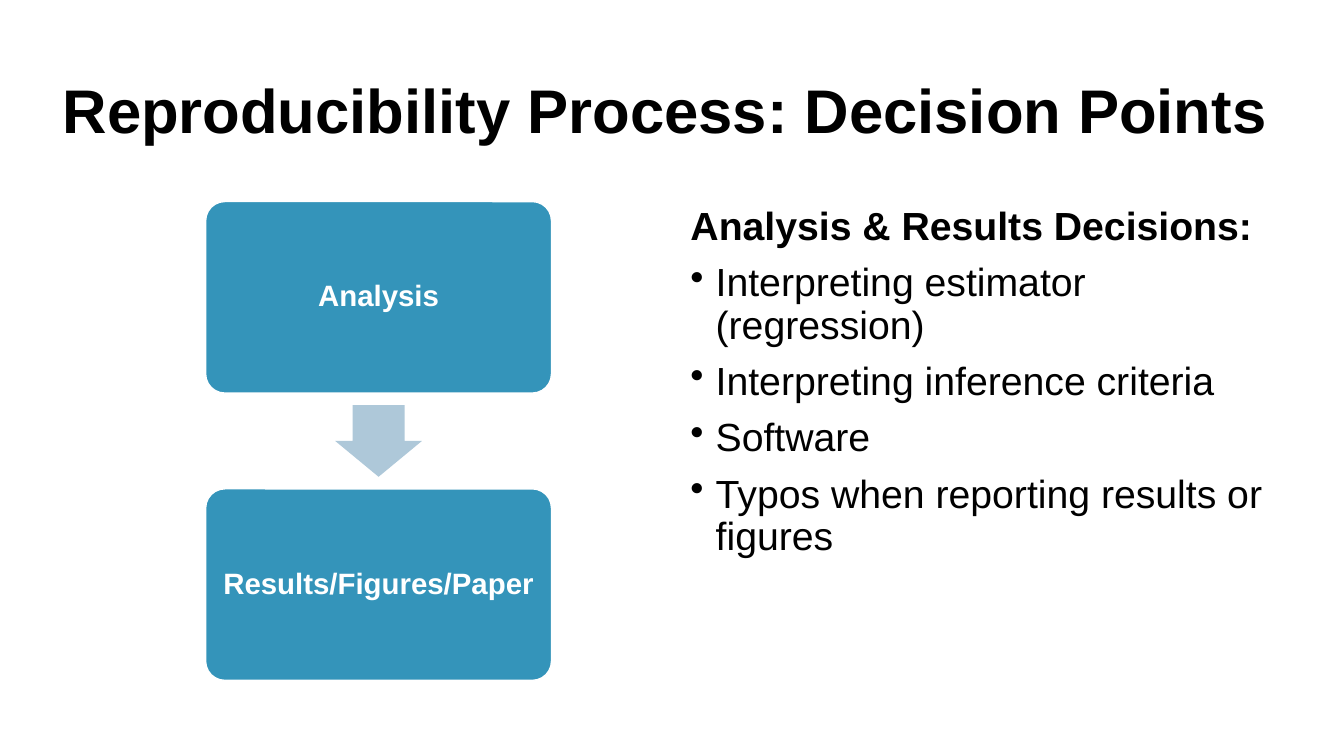
from dataclasses import dataclass

from pptx import Presentation
from pptx.dml.color import RGBColor
from pptx.enum import shapes, text
from pptx.oxml.ns import qn
from pptx.util import Inches, Pt


@dataclass(frozen=True)
class Theme:
    font: str = "Arial"
    ink: RGBColor = RGBColor(0x00, 0x00, 0x00)
    white: RGBColor = RGBColor(0xFF, 0xFF, 0xFF)
    step: RGBColor = RGBColor(0x34, 0x94, 0xBA)
    arrow: RGBColor = RGBColor(0xAE, 0xC8, 0xD9)
    title_size: int = 44
    body_size: int = 28
    step_size: int = 21
    line_spacing: float = 0.9


THEME = Theme()


def format_paragraph(p, size, color, bold=False, align=text.PP_ALIGN.LEFT):
    p.alignment = align
    p.line_spacing = THEME.line_spacing
    for r in p.runs:
        r.font.name = THEME.font
        r.font.size = Pt(size)
        r.font.bold = bold
        r.font.color.rgb = color


def add_bullet(p, indent):
    pPr = p._p.get_or_add_pPr()
    pPr.set("marL", str(indent))
    pPr.set("indent", str(-indent))
    bullet = pPr.makeelement(qn("a:buChar"), {"char": "•"})
    pPr.append(bullet)


def place_title(s, title, left, top, width, height):
    sp = s.shapes.title
    sp.left, sp.top, sp.width, sp.height = left, top, width, height
    tf = sp.text_frame
    tf.text = title
    tf.word_wrap = True
    tf.auto_size = text.MSO_AUTO_SIZE.NONE
    tf.vertical_anchor = text.MSO_ANCHOR.MIDDLE
    format_paragraph(tf.paragraphs[0], THEME.title_size, THEME.ink, bold=True)


def add_step(s, label, left, top, width, height):
    sp = s.shapes.add_shape(shapes.MSO_SHAPE.ROUNDED_RECTANGLE, left, top, width, height)
    sp.adjustments[0] = 0.1
    sp.shadow.inherit = False
    sp.fill.solid()
    sp.fill.fore_color.rgb = THEME.step
    sp.line.color.rgb = THEME.white
    sp.line.width = Pt(1)
    tf = sp.text_frame
    tf.text = label
    tf.word_wrap = True
    tf.vertical_anchor = text.MSO_ANCHOR.MIDDLE
    tf.margin_left = tf.margin_right = Inches(0.09)
    format_paragraph(tf.paragraphs[0], THEME.step_size, THEME.white, True, text.PP_ALIGN.CENTER)


def add_down_arrow(s, center_x, center_y):
    width, height = Inches(0.86), Inches(0.71)
    sp = s.shapes.add_shape(shapes.MSO_SHAPE.DOWN_ARROW, center_x - width // 2,
                            center_y - height // 2, width, height)
    sp.adjustments[0] = 0.6
    sp.adjustments[1] = 0.5
    sp.shadow.inherit = False
    sp.fill.solid()
    sp.fill.fore_color.rgb = THEME.arrow
    sp.line.fill.background()


def add_process(s, labels, left, top, width, height):
    """Stack equal steps from top to bottom with an arrow in each gap."""
    gap = Inches(0.95)
    step_height = (height - gap * (len(labels) - 1)) // len(labels)
    for i, label in enumerate(labels):
        y = top + i * (step_height + gap)
        if i:
            add_down_arrow(s, left + width // 2, y - gap // 2)
        add_step(s, label, left, y, width, step_height)


def add_decisions(s, heading, items, left, top, width, height):
    tf = s.shapes.add_textbox(left, top, width, height).text_frame
    tf.word_wrap = True
    tf.text = "\n".join([heading, *items])
    for i, p in enumerate(tf.paragraphs):
        format_paragraph(p, THEME.body_size, THEME.ink, bold=i == 0)
        p.space_before = Pt(10)
        if i:
            add_bullet(p, Inches(0.25))


def main():
    prs = Presentation()
    prs.slide_width, prs.slide_height = Inches(13.33), Inches(7.5)
    s = prs.slides.add_slide(prs.slide_layouts.get_by_name("Title Only"))
    place_title(s, "Reproducibility Process: Decision Points",
                Inches(0.52), Inches(0.4), Inches(12.61), Inches(1.45))
    add_process(s, ["Analysis", "Results/Figures/Paper"],
                Inches(2.04), Inches(2), Inches(3.43), Inches(4.75))
    add_decisions(s, "Analysis & Results Decisions:",
                  ["Interpreting estimator (regression)",
                   "Interpreting inference criteria",
                   "Software",
                   "Typos when reporting results or figures"],
                  Inches(6.75), Inches(2), Inches(5.92), Inches(4.76))
    prs.save("out.pptx")


if __name__ == "__main__":
    main()
